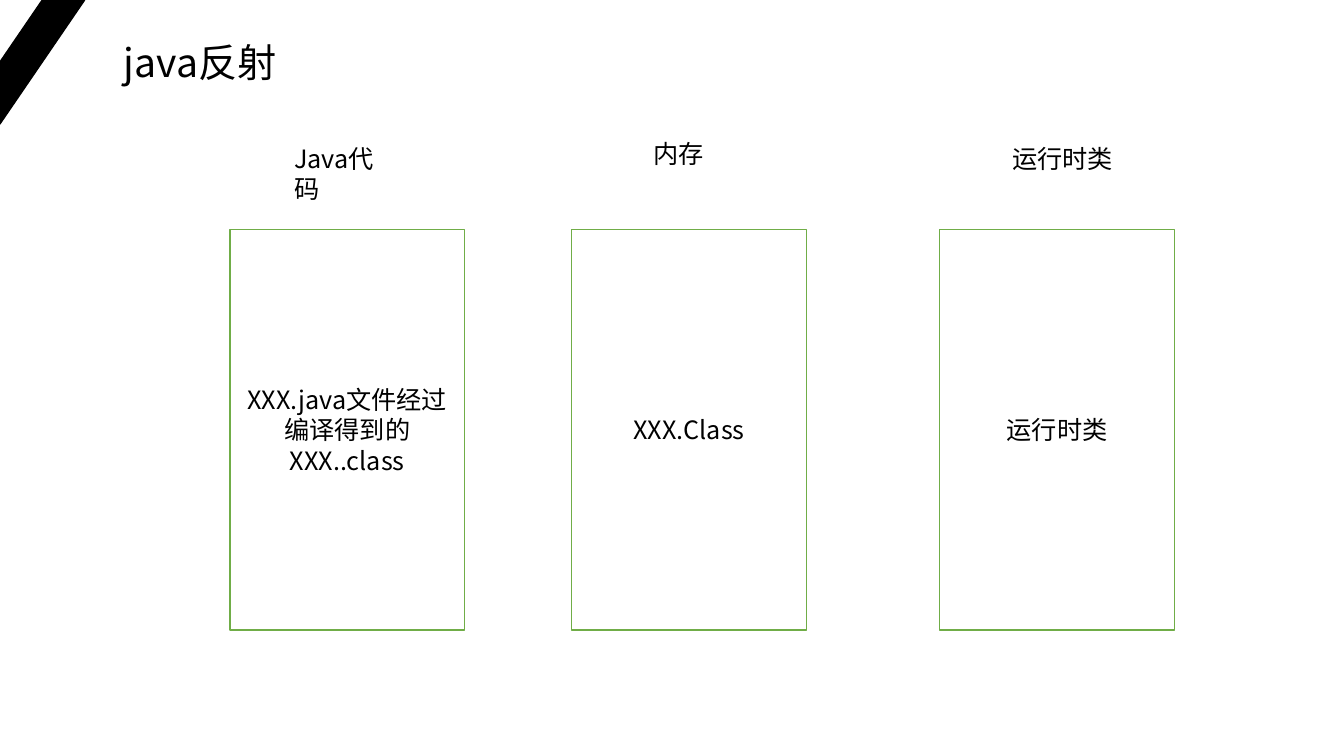
import dataclasses

import pptx
import pptx.dml.color
import pptx.enum.shapes
import pptx.enum.text
import pptx.oxml.ns
import pptx.util
from lxml import etree

Inches = pptx.util.Inches
Points = pptx.util.Pt
Color = pptx.dml.color.RGBColor
Shapes = pptx.enum.shapes.MSO_SHAPE
Align = pptx.enum.text.PP_ALIGN
Anchor = pptx.enum.text.MSO_ANCHOR
AutoSize = pptx.enum.text.MSO_AUTO_SIZE


@dataclasses.dataclass(frozen=True)
class Theme:
    font: str = "Noto Sans CJK SC"
    ink: str = "000000"
    paper: str = "FFFFFF"
    border: str = "70AD47"
    title_size: int = 28
    body_size: int = 18
    line_width: int = 1


THEME = Theme()

PANEL_TOP, PANEL_WIDTH, PANEL_HEIGHT = 2.28, 2.33, 3.97

# Panel left, panel text, heading, heading box relative to the panel, heading wraps
STAGES = [
    (2.28, "XXX.java文件经过编译得到的XXX..class", "Java代码", (0.54, -0.91, 1.16, 0.4), True),
    (5.67, "XXX.Class", "内存", (0.71, -0.96, 0.71, 0.4), False),
    (9.32, "运行时类", "运行时类", (0.62, -0.91, 1.2, 0.4), False),
]


def apply_format(target, values):
    for name, value in values.items():
        setattr(target, name, value)


def write_text(shape, text, size, align, frame_format):
    apply_format(shape.text_frame, frame_format)
    paragraph = shape.text_frame.paragraphs[0]
    paragraph.alignment = align
    run = paragraph.add_run()
    run.text = text
    apply_format(run.font, {"name": THEME.font, "size": Points(size)})
    run.font.color.rgb = Color.from_string(THEME.ink)
    # Chinese characters take their typeface from the East Asian slot
    east_asian = etree.SubElement(run.font._element, pptx.oxml.ns.qn("a:ea"))
    east_asian.set("typeface", THEME.font)


def add_label(slide, box, text, size, wrap):
    label = slide.shapes.add_textbox(*map(Inches, box))
    frame_format = {"word_wrap": wrap, "auto_size": AutoSize.SHAPE_TO_FIT_TEXT}
    write_text(label, text, size, Align.LEFT, frame_format)


def add_filled_shape(slide, kind, box, fill, line):
    shape = slide.shapes.add_shape(kind, *map(Inches, box))
    shape.shadow.inherit = False
    shape.fill.solid()
    shape.fill.fore_color.rgb = Color.from_string(fill)
    shape.line.color.rgb = Color.from_string(line)
    shape.line.width = Points(THEME.line_width)
    return shape


def add_header(slide, box):
    left, top, width, height = box
    # Corner stripe
    add_filled_shape(slide, Shapes.DIAGONAL_STRIPE, (left, top, 0.84, height), THEME.ink, THEME.ink)
    # Title
    add_label(slide, (left + 1.13, top + 0.33, width - 1.13, 0.57), "java反射", THEME.title_size, True)


def add_stage(slide, box, body, heading, heading_box, heading_wraps):
    left, top, _, _ = box
    # Panel
    panel = add_filled_shape(slide, Shapes.RECTANGLE, box, THEME.paper, THEME.border)
    frame_format = {"word_wrap": True, "vertical_anchor": Anchor.MIDDLE}
    write_text(panel, body, THEME.body_size, Align.CENTER, frame_format)
    # Heading above the panel
    shift_x, shift_y, width, height = heading_box
    add_label(slide, (left + shift_x, top + shift_y, width, height), heading, THEME.body_size, heading_wraps)


def main():
    presentation = pptx.Presentation()
    apply_format(presentation, {"slide_width": Inches(13.33), "slide_height": Inches(7.5)})
    slide = presentation.slides.add_slide(presentation.slide_layouts[6])
    add_header(slide, (0, 0, 5.46, 1.23))
    for left, *content in STAGES:
        add_stage(slide, (left, PANEL_TOP, PANEL_WIDTH, PANEL_HEIGHT), *content)
    presentation.save("out.pptx")


if __name__ == "__main__":
    main()
